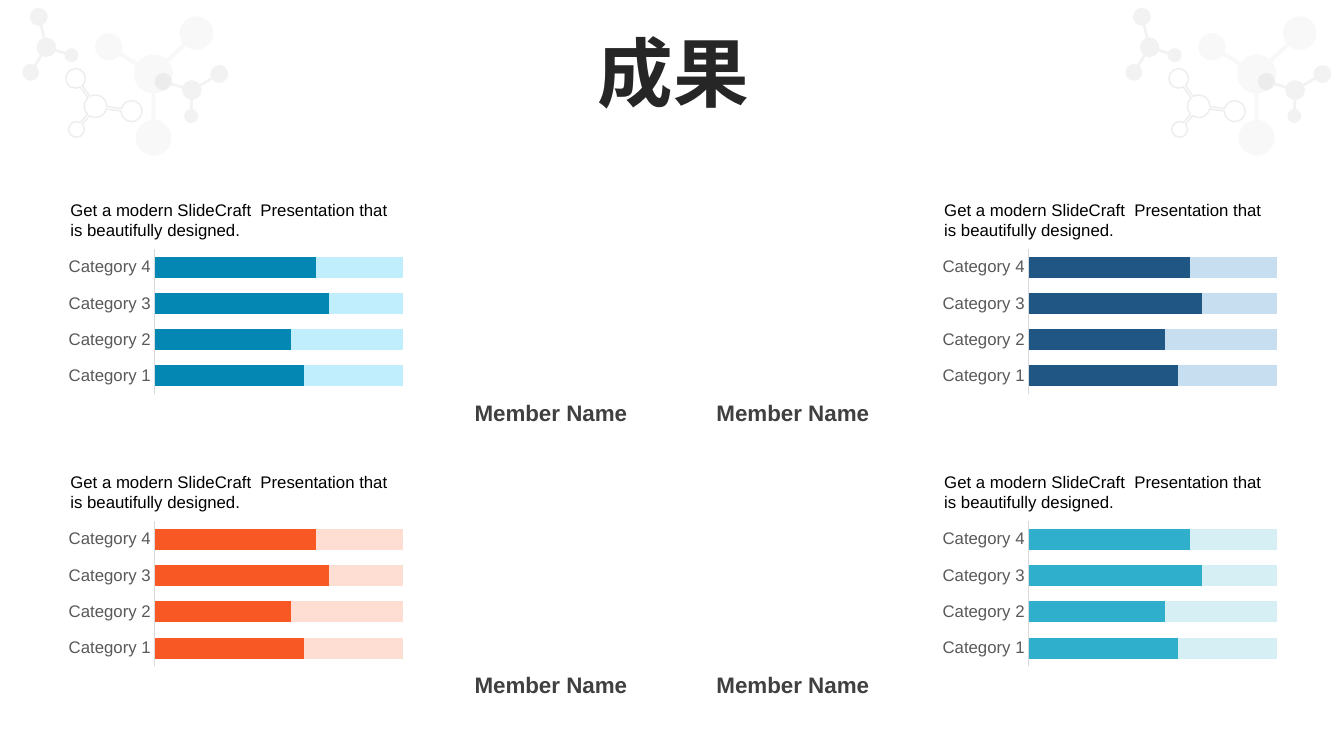
"""Build a results slide with four member bar charts and molecule corner art."""
from math import asin, atan2, cos, degrees, pi, sin

from lxml.etree import SubElement
from pptx import Presentation
from pptx.chart.data import CategoryChartData
from pptx.dml.color import RGBColor
from pptx.enum.chart import XL_CHART_TYPE, XL_TICK_MARK
from pptx.enum.shapes import MSO_SHAPE
from pptx.enum.text import MSO_ANCHOR, MSO_AUTO_SIZE, PP_ALIGN
from pptx.oxml import parse_xml
from pptx.oxml.ns import nsdecls, qn
from pptx.util import Pt

COLORS = {
    "title": "262626", "name": "404040", "text": "000000", "label": "595959",
    "axis": "D9D9D9", "atom": "F2F2F2", "haze": "808080", "outline": "A6A6A6",
    "blue": "0587B3", "pale blue": "C0EEFD", "navy": "205684", "pale navy": "C7DEF1",
    "orange": "F85824", "pale orange": "FEDED3", "teal": "2FAFCC", "pale teal": "D5EFF5",
}
RIGHT_CORNER = 788
MOLECULES = [
    ("atom", 100, 0.9, (137.1, 64.3, 7),
     [(156.6, 52.9, 6.4), (136.6, 82.9, 5), (116.6, 58.3, 6.2)]),
    ("outline", 20, 0.9, (68.2, 75.9, 8),
     [(94, 79.4, 7.4), (54, 56, 7), (54.6, 92.5, 5.6)]),
    ("haze", 5, 1.5, (109.6, 52.9, 14),
     [(109.6, 98.4, 12.8), (140.4, 23.7, 12), (77.7, 33.5, 9.8)]),
    ("atom", 100, 0.9, (33.2, 33.8, 7),
     [(27.7, 12, 6.4), (51.1, 39.4, 5), (21.9, 51.7, 6)]),
]
PANELS = [
    (43.2, 329.8, 139, "blue"), (667.4, 502.6, 139, "navy"),
    (43.2, 329.8, 333.4, "orange"), (667.4, 502.6, 333.4, "teal"),
]


def add_arc(track, command, origin, atom, start, end):
    """Move or draw to an atom's edge and follow it round to the end angle."""
    x, y, radius = atom
    step = SubElement(track, qn(command))
    SubElement(step, qn("a:pt"), x=str(Pt(x + radius * cos(start) - origin[0])),
               y=str(Pt(y + radius * sin(start) - origin[1])))
    SubElement(track, qn("a:arcTo"), wR=str(Pt(radius)), hR=str(Pt(radius)),
               stAng=str(round(degrees(start) % 360 * 60000)),
               swAng=str(round(degrees(end - start) * 60000)))


def add_span(para, text, size, color, bold=False, font="Arial"):
    """Add one formatted run to a paragraph."""
    span = para.add_run()
    span.text = text
    span.font.size, span.font.bold, span.font.name = Pt(size), bold, font
    span.font.color.rgb = RGBColor.from_string(COLORS[color])
    return span


deck = Presentation()
deck.slide_width, deck.slide_height = Pt(960), Pt(540)
page = deck.slides.add_slide(deck.slide_layouts[5])

for corner in (RIGHT_CORNER, 0):
    for color, opacity, bond, hub, leaves in MOLECULES:
        atoms = [hub] + leaves
        left, right = min(x - r for x, y, r in atoms), max(x + r for x, y, r in atoms)
        top, bottom = min(y - r for x, y, r in atoms), max(y + r for x, y, r in atoms)
        builder = page.shapes.build_freeform(Pt(left + corner), Pt(top))
        builder.add_line_segments([(Pt(right + corner), Pt(top)), (Pt(right + corner), Pt(bottom))])
        molecule = builder.convert_to_shape()
        track = next(molecule.element.spPr.iter(qn("a:path")))
        for step in list(track):
            track.remove(step)

        hub_x, hub_y, hub_radius = hub
        spokes = sorted((atan2(y - hub_y, x - hub_x), (x, y, radius)) for x, y, radius in leaves)
        turns = [angle for angle, leaf in spokes] + [spokes[0][0] + 2 * pi]
        hub_gap = asin(bond / hub_radius)
        for index, (angle, leaf) in enumerate(spokes):
            leaf_gap = asin(bond / leaf[2])
            command = "a:lnTo" if index else "a:moveTo"
            add_arc(track, command, (left, top), leaf,
                    angle + pi + leaf_gap, angle + 3 * pi - leaf_gap)
            add_arc(track, "a:lnTo", (left, top), hub,
                    angle + hub_gap, turns[index + 1] - hub_gap)
        SubElement(track, qn("a:close"))

        molecule.shadow.inherit = False
        if color == "outline":
            molecule.fill.background()
            molecule.line.width = Pt(1)
            paint = molecule.line.fill
        else:
            molecule.line.fill.background()
            paint = molecule.fill
        paint.solid()
        paint.fore_color.rgb = RGBColor.from_string(COLORS[color])
        if opacity < 100:
            for tone in molecule.element.spPr.iter(qn("a:srgbClr")):
                SubElement(tone, qn("a:alpha"), val=str(opacity * 1000))

title = page.shapes.title
title.left, title.top, title.width, title.height = Pt(25.2), Pt(26.6), Pt(911.5), Pt(56.9)
title.text_frame.auto_size = MSO_AUTO_SIZE.NONE
title.text_frame.vertical_anchor = MSO_ANCHOR.MIDDLE
para = title.text_frame.paragraphs[0]
para.alignment, para.line_spacing, para.space_before = PP_ALIGN.CENTER, 0.9, Pt(10)
span = add_span(para, "成果", 54, "title", True, "Noto Sans CJK SC")
SubElement(span.font._element, qn("a:ea"), typeface="Noto Sans CJK SC")

for left, name_left, top, color in PANELS:
    name_box = page.shapes.add_textbox(Pt(name_left), Pt(top + 144.7), Pt(127.4), Pt(22.3))
    name_box.text_frame.word_wrap = True
    name_box.text_frame.vertical_anchor = MSO_ANCHOR.MIDDLE
    para = name_box.text_frame.paragraphs[0]
    para.alignment, para.space_before = PP_ALIGN.CENTER, Pt(3.2)
    add_span(para, "Member Name", 16, "name", True)

    data = CategoryChartData()
    data.categories = [f"Category {number}" for number in range(1, 5)]
    data.add_series("Series 1", (60, 55, 70, 65))
    data.add_series("Series 2", (40, 45, 30, 35))
    data.add_series("Series 3", (0, 0, 0, 0))
    chart = page.shapes.add_chart(
        XL_CHART_TYPE.BAR_STACKED_100, Pt(left), Pt(top + 36.7), Pt(249.8), Pt(108), data).chart
    chart.has_legend = chart.has_title = False
    chart.font.size, chart.font.name = Pt(10), "Arial"
    chart.font.color.rgb = RGBColor.from_string(COLORS["text"])
    plot = chart.plots[0]
    plot.gap_width, plot.overlap, plot.vary_by_categories = 73, 100, False
    for series, tone in zip(plot.series, (color, f"pale {color}", "navy")):
        series.format.fill.solid()
        series.format.fill.fore_color.rgb = RGBColor.from_string(COLORS[tone])
    chart.value_axis.visible = False
    chart.value_axis.has_major_gridlines = False
    axis = chart.category_axis
    axis.major_tick_mark = axis.minor_tick_mark = XL_TICK_MARK.NONE
    axis.format.line.width = Pt(0.75)
    axis.format.line.color.rgb = RGBColor.from_string(COLORS["axis"])
    axis.tick_labels.font.size, axis.tick_labels.font.name = Pt(12), "Arial"
    axis.tick_labels.font.color.rgb = RGBColor.from_string(COLORS["label"])
    plot_area = chart._chartSpace.chart.plotArea
    for layout in plot_area.findall(qn("c:layout")):
        plot_area.remove(layout)
    plot_area.insert(0, parse_xml(
        f'<c:layout {nsdecls("c")}><c:manualLayout><c:layoutTarget val="inner"/>'
        '<c:xMode val="edge"/><c:yMode val="edge"/><c:x val="0.27"/><c:y val="0.02"/>'
        '<c:w val="0.71"/><c:h val="0.96"/></c:manualLayout></c:layout>'))

    caption = page.shapes.add_shape(MSO_SHAPE.PENTAGON, Pt(left), Pt(top), Pt(249.8), Pt(36))
    caption.adjustments[0] = 0
    caption.shadow.inherit = False
    caption.fill.background()
    caption.line.fill.background()
    caption.text_frame.word_wrap = True
    caption.text_frame.auto_size = MSO_AUTO_SIZE.SHAPE_TO_FIT_TEXT
    caption.text_frame.vertical_anchor = MSO_ANCHOR.TOP
    para = caption.text_frame.paragraphs[0]
    para.alignment = PP_ALIGN.LEFT
    add_span(para, "Get a modern SlideCraft  Presentation that is beautifully designed.", 12, "text")

deck.save("out.pptx")
